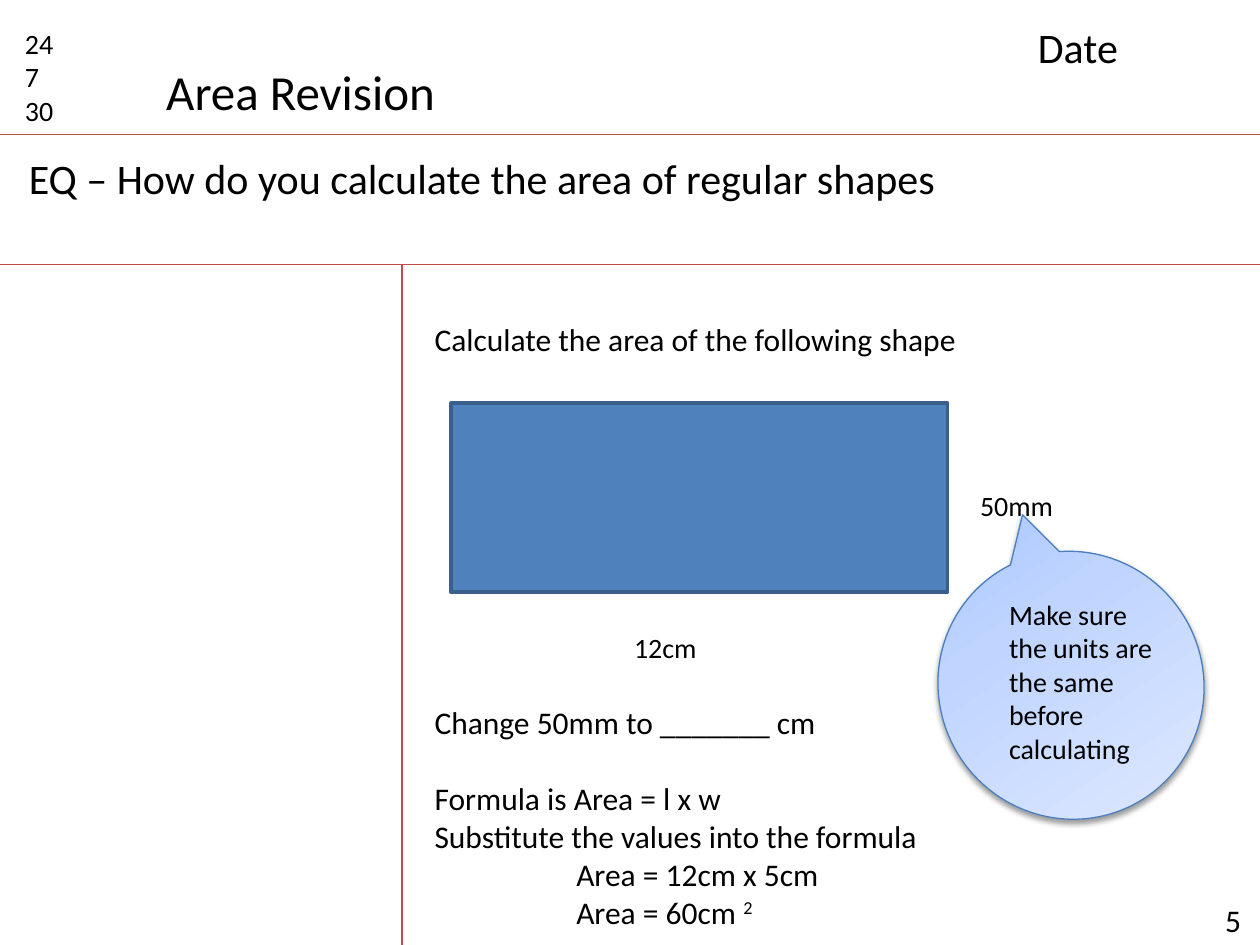
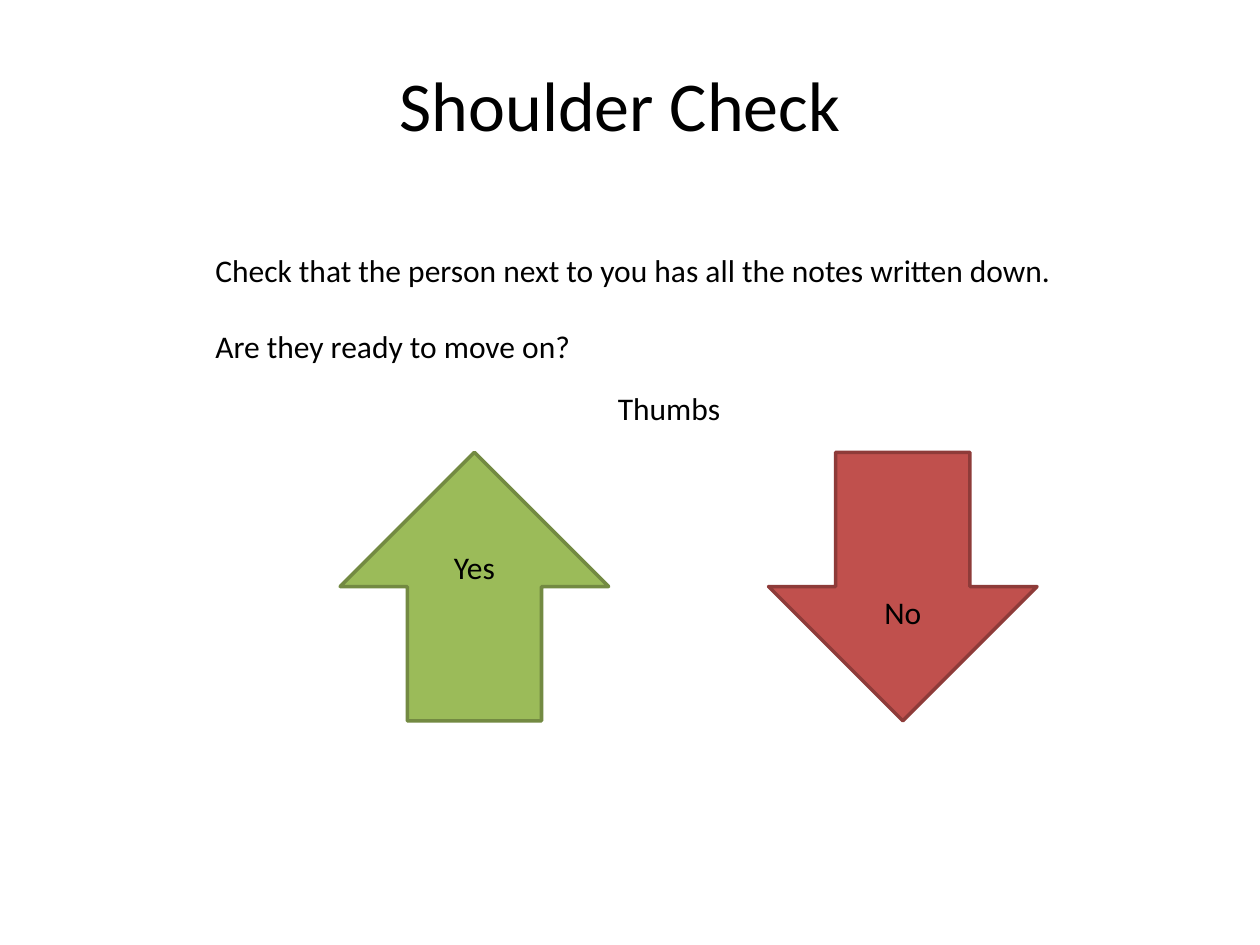
import pptx
import pptx.util
import pptx.dml.color
import pptx.enum.shapes
import pptx.enum.text
import pptx.oxml
import pptx.oxml.ns

Pt = pptx.util.Pt
RGBColor = pptx.dml.color.RGBColor
SHAPE = pptx.enum.shapes.MSO_SHAPE
ALIGN = pptx.enum.text.PP_ALIGN

FONT = "Calibri"
BLACK = RGBColor(0x00, 0x00, 0x00)
RULE_RED = RGBColor(0xBF, 0x4C, 0x48)
BLUE = RGBColor(0x4F, 0x81, 0xBD)
BLUE_EDGE = RGBColor(0x3A, 0x5F, 0x8C)
CALLOUT_EDGE = RGBColor(0x4B, 0x7E, 0xBC)
CALLOUT_STOPS = [(0, RGBColor(0xA4, 0xC4, 0xFF)),
                 (35, RGBColor(0xBF, 0xD4, 0xFF)),
                 (100, RGBColor(0xE6, 0xEE, 0xFF))]
GREEN = RGBColor(0x9B, 0xBB, 0x59)
GREEN_EDGE = RGBColor(0x73, 0x8A, 0x42)
RED = RGBColor(0xC0, 0x50, 0x4D)
RED_EDGE = RGBColor(0x8E, 0x3B, 0x39)

SLIDE_W, SLIDE_H = 720, 540
LINE = 22  # height of one 18 pt line
MARGIN_X = 229.7  # vertical rule beside the notes


def format_paragraph(p, size, align=ALIGN.LEFT, before=0, indent=0):
    if indent:
        p._p.get_or_add_pPr().set("marL", str(Pt(indent)))
    p.alignment = align
    p.space_before = Pt(before)
    p.font.name = FONT
    p.font.size = Pt(size)
    p.font.color.rgb = BLACK


def add_text(slide, box, lines, size=18, align=ALIGN.LEFT):
    """Each line is a string or a (text, size, space before, indent) tuple."""
    sp = slide.shapes.add_textbox(*map(Pt, box))
    tf = sp.text_frame
    tf.word_wrap = True
    for i, line in enumerate(lines):
        text, line_size, before, indent = (
            (line, size, 0, 0) if isinstance(line, str) else line)
        p = tf.paragraphs[0] if i == 0 else tf.add_paragraph()
        p.add_run().text = text
        format_paragraph(p, line_size, align, before, indent)
    return tf


def set_title(slide, box, text, size, align=ALIGN.LEFT):
    sp = slide.shapes.title
    sp.left, sp.top, sp.width, sp.height = map(Pt, box)
    tf = sp.text_frame
    tf.text = text
    tf.word_wrap = True
    tf.auto_size = pptx.enum.text.MSO_AUTO_SIZE.NONE
    tf.vertical_anchor = pptx.enum.text.MSO_ANCHOR.TOP
    format_paragraph(tf.paragraphs[0], size, align)


def add_rule(slide, x1, y1, x2, y2):
    c = slide.shapes.add_connector(
        pptx.enum.shapes.MSO_CONNECTOR.STRAIGHT, *map(Pt, (x1, y1, x2, y2)))
    c.line.color.rgb = RULE_RED
    c.line.width = Pt(0.75)
    c._element.spPr.append(pptx.oxml.parse_xml(
        f'<a:effectLst {pptx.oxml.ns.nsdecls("a")}/>'))


def add_shape(slide, kind, box, fill, edge, width=2):
    sp = slide.shapes.add_shape(kind, *map(Pt, box))
    sp.shadow.inherit = False
    if fill is not None:
        sp.fill.solid()
        sp.fill.fore_color.rgb = fill
    sp.line.color.rgb = edge
    sp.line.width = Pt(width)
    return sp


def add_callout(slide, box, rotation):
    sp = add_shape(slide, SHAPE.OVAL_CALLOUT, box, None, CALLOUT_EDGE, 0.75)
    sp.rotation = rotation
    ns = pptx.oxml.ns.nsdecls("a")
    spPr = sp._element.spPr
    # Gradient fill
    stops = "".join(f'<a:gs pos="{pos * 1000}"><a:srgbClr val="{rgb}"/></a:gs>'
                    for pos, rgb in CALLOUT_STOPS)
    spPr.find(pptx.oxml.ns.qn("a:prstGeom")).addnext(pptx.oxml.parse_xml(
        f'<a:gradFill {ns} rotWithShape="1"><a:gsLst>{stops}</a:gsLst>'
        '<a:lin ang="16200000" scaled="1"/></a:gradFill>'))
    # Soft shadow below
    spPr.find(pptx.oxml.ns.qn("a:effectLst")).append(pptx.oxml.parse_xml(
        f'<a:outerShdw {ns} blurRad="{Pt(3.1)}" dist="{Pt(1.6)}" dir="5400000" '
        'rotWithShape="0"><a:srgbClr val="000000"><a:alpha val="38000"/>'
        '</a:srgbClr></a:outerShdw>'))


def build_area_revision(slide):
    # Page frame and header
    for y in (77, 151.2):
        add_rule(slide, 0, y, SLIDE_W, y)
    add_rule(slide, MARGIN_X, 151.2, MARGIN_X, SLIDE_H)
    set_title(slide, (87.8, 31.7, 185, 41), "Area Revision", 28)
    add_text(slide, (7.2, 11.5, 45.4, 65.5), ["24", "7", "30"], 16)
    add_text(slide, (586, 8.6, 124.6, 36), ["Date"], 24)
    add_text(slide, (9.4, 83.5, 679, 36),
             ["EQ – How do you calculate the area of regular shapes"], 24)
    add_text(slide, (693, 511.2, 27, 28.8), ["5"])

    # Worked example
    tf = add_text(slide, (241.2, 179.3, 459.4, 357), [
        "Calculate the area of the following shape",
        ("12cm", 16, 7 * LINE + 1.7, 114),
        ("Change 50mm to _______ cm", 18, LINE + 0.5, 0),
        ("Formula is Area = l x w", 18, LINE, 0),
        "Substitute the values into the formula",
        ("Area = 12cm x 5cm", 18, 0, 81),
        ("Area = 60cm ", 18, 0, 81),
    ])
    r = tf.paragraphs[-1].add_run()
    r.text = "2"
    r.font._element.set("baseline", "30000")

    # Rectangle to measure, with its height and a hint
    add_shape(slide, SHAPE.RECTANGLE, (257.8, 230.4, 283.7, 108), BLUE, BLUE_EDGE)
    add_text(slide, (553, 275.8, 62.6, 26.6), ["50mm"], 16)
    add_callout(slide, (536.4, 314.6, 151.2, 154), 146)
    add_text(slide, (569.5, 337.7, 102.2, 104.4),
             ["Make sure the units are the same before calculating"], 16)


def build_shoulder_check(slide):
    set_title(slide, (127.4, 31.7, 453.6, 55.4), "Shoulder Check", 40, ALIGN.CENTER)
    add_text(slide, (116, 139.7, 532.8, 80), [
        "Check that the person next to you has all the notes written down.",
        ("Are they ready to move on?", 18, LINE, 0),
    ])
    add_text(slide, (300.2, 218.9, 164.2, 28.8), ["Thumbs"], align=ALIGN.CENTER)

    # Thumbs up and thumbs down
    side, label_w = 153.4, 60
    answers = [("Yes", SHAPE.UP_ARROW, 194.4, 309.6, GREEN, GREEN_EDGE),
               ("No", SHAPE.DOWN_ARROW, 439.2, 335.5, RED, RED_EDGE)]
    for label, kind, left, label_top, fill, edge in answers:
        add_shape(slide, kind, (left, 258.5, side, side), fill, edge)
        add_text(slide, (left + (side - label_w) / 2, label_top, label_w, 28.8),
                 [label], align=ALIGN.CENTER)


def main():
    prs = pptx.Presentation()
    prs.slide_width, prs.slide_height = Pt(SLIDE_W), Pt(SLIDE_H)
    for build in (build_area_revision, build_shoulder_check):
        build(prs.slides.add_slide(prs.slide_layouts[5]))
    prs.save("out.pptx")


if __name__ == "__main__":
    main()
